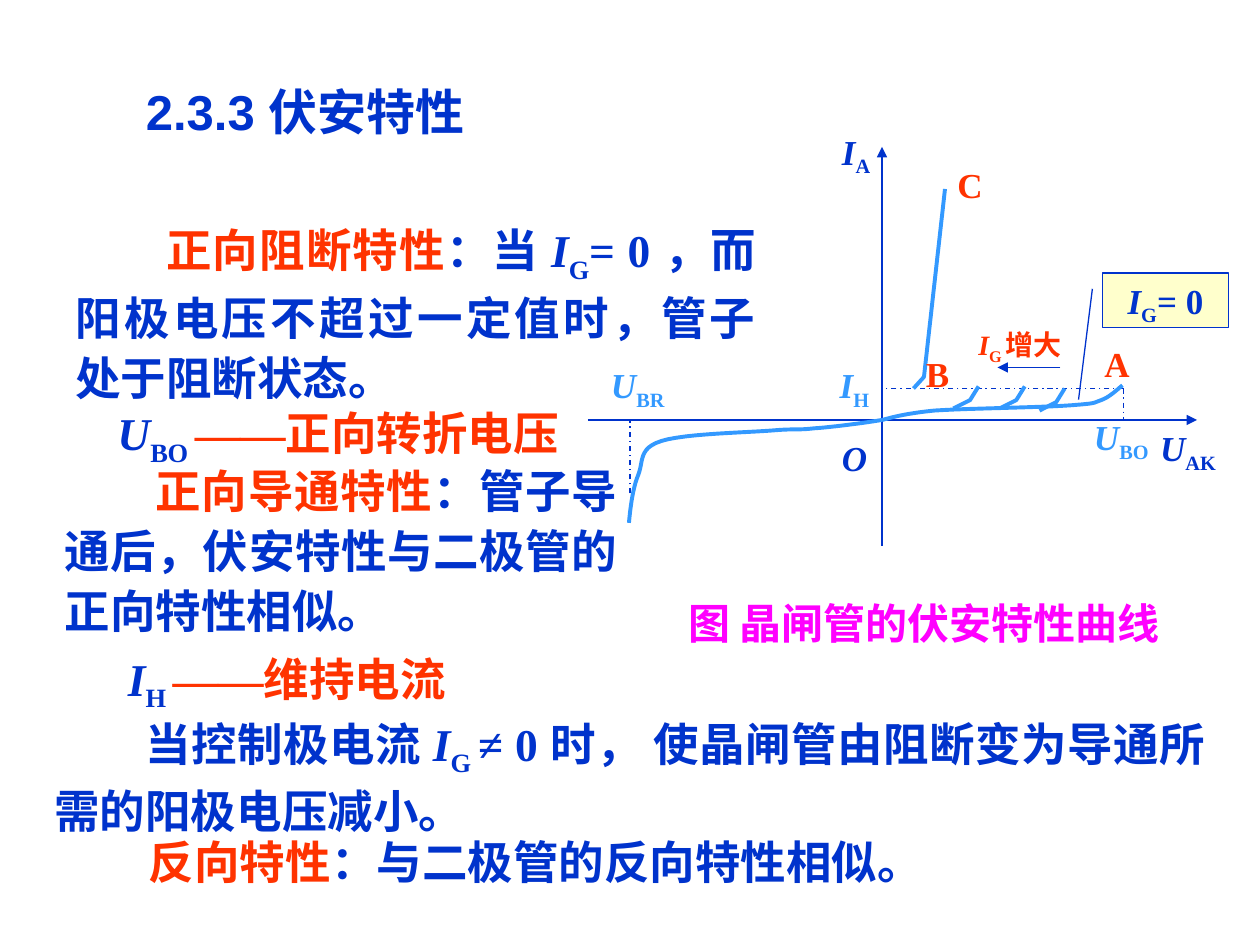
from dataclasses import dataclass
from typing import NamedTuple

from lxml import etree
from pptx import Presentation
from pptx.dml.color import RGBColor
from pptx.enum.dml import MSO_LINE
from pptx.enum.shapes import MSO_CONNECTOR, MSO_SHAPE
from pptx.enum.text import MSO_ANCHOR, PP_ALIGN
from pptx.oxml.ns import qn
from pptx.util import Inches, Pt

LEFT, MID, JUST = PP_ALIGN.LEFT, PP_ALIGN.CENTER, PP_ALIGN.JUSTIFY
TOP = MSO_ANCHOR.TOP
DASH = MSO_LINE.DASH_DOT
STRAIGHT = MSO_CONNECTOR.STRAIGHT
CALLOUT = MSO_SHAPE.LINE_CALLOUT_1
WIDE, HIGH = Inches(10), Inches(7.5)
COLS, ROWS = 120, 90
STEPS = 12


@dataclass(frozen=True)
class Theme:
    blue: str = "0033CC"
    sky: str = "3399FF"
    red: str = "FF3300"
    pink: str = "FF00FF"
    cream: str = "FFFFCC"
    serif: str = "Times New Roman"
    sans: str = "Arial"
    head: float = 28
    body: float = 26
    cap: float = 24
    label: float = 20
    note: float = 16
    thin: float = 0.75
    axis: float = 1.5
    curve: float = 2.25


T = Theme()


class Bit(NamedTuple):
    text: str
    color: str = T.blue
    slant: bool = False
    sub: bool = False


class Block(NamedTuple):
    area: tuple
    bits: list
    form: dict


class Line(NamedTuple):
    start: tuple
    end: tuple
    width: float = T.thin
    arrow: bool = False
    dash: bool = False


class Label(NamedTuple):
    col: float
    row: float
    wide: float
    bits: list


def sym(base: str, sub: str, color: str = T.blue) -> list:
    return [Bit(base, color, slant=True), Bit(sub, color, sub=True)]


def spot(col: float, row: float) -> tuple:
    return round(WIDE * col / COLS), round(HIGH * row / ROWS)


def rect(area: tuple) -> tuple:
    return spot(*area[:2]) + spot(*area[2:])


def write(frame, bits: list, *, size: float, font: str = T.serif,
          align=LEFT, space: float = 1, indent: float = 0) -> None:
    frame.word_wrap = True
    frame.vertical_anchor = TOP
    para = frame.paragraphs[0]
    para.alignment = align
    para.line_spacing = space
    if indent:
        para._p.get_or_add_pPr().set("indent", str(Pt(indent)))
    for bit in bits:
        run = para.add_run()
        run.text = bit.text
        run.font.name = font
        run.font.size = Pt(size)
        run.font.bold = True
        run.font.italic = bit.slant
        run.font.color.rgb = RGBColor.from_string(bit.color)
        if bit.sub:
            run._r.get_or_add_rPr().set("baseline", "-25000")


def put(slide, block: Block) -> None:
    box = slide.shapes.add_textbox(*rect(block.area))
    write(box.text_frame, block.bits, **block.form)


def rule(slide, item: Line) -> None:
    line = slide.shapes.add_connector(STRAIGHT, *spot(*item.start), *spot(*item.end))
    line.line.color.rgb = RGBColor.from_string(T.blue)
    line.line.width = Pt(item.width)
    if item.dash:
        line.line.dash_style = DASH
    if item.arrow:
        tail = etree.SubElement(line.line._get_or_add_ln(), qn("a:tailEnd"))
        tail.set("type", "triangle")
    etree.SubElement(line._element.spPr, qn("a:effectLst"))


def bend(start: tuple, parts: list) -> list:
    dots = [start]
    for one, two, end in parts:
        base = dots[-1]
        for step in range(1, STEPS + 1):
            t = step / STEPS
            u = 1 - t
            dots.append(tuple(
                u**3 * a + 3 * u * u * t * b + 3 * u * t * t * c + t**3 * d
                for a, b, c, d in zip(base, one, two, end)))
    return dots


def trace(slide, dots: list) -> None:
    pen = slide.shapes.build_freeform(*spot(*dots[0]))
    pen.add_line_segments([spot(*dot) for dot in dots[1:]], close=False)
    curve = pen.convert_to_shape()
    curve.shadow.inherit = False
    curve.fill.background()
    curve.line.color.rgb = RGBColor.from_string(T.sky)
    curve.line.width = Pt(T.curve)


def callout(slide) -> None:
    tag = slide.shapes.add_shape(CALLOUT, *rect((105, 26, 12, 5.2)))
    for slot, share in enumerate((0.29, -0.08, 2.32, -0.19)):
        tag.adjustments[slot] = share
    tag.shadow.inherit = False
    tag.fill.solid()
    tag.fill.fore_color.rgb = RGBColor.from_string(T.cream)
    tag.line.color.rgb = RGBColor.from_string(T.blue)
    tag.line.width = Pt(T.thin)
    write(tag.text_frame, sym("I", "G") + [Bit("= 0")], size=T.label, align=MID)


PROSE = dict(size=T.body, align=JUST, space=1.1, indent=2 * T.body)
TERM = dict(size=T.body)
BLOCKS = [
    Block((6, 20, 67.2, 18.4),
          [Bit("正向阻断特性", T.red), Bit("：当 "), *sym("I", "G"),
           Bit("= 0 ，而阳极电压不超过一定值时，管子处于阻断状态。")], PROSE),
    Block((10, 38, 49, 6.4),
          [*sym("U", "BO "), Bit("——正向转折电压", T.red)], TERM),
    Block((5, 43, 55, 18.4),
          [Bit("正向导通特性", T.red),
           Bit("：管子导通后，伏安特性与二极管的正向特性相似。")], PROSE),
    Block((11, 61.4, 42, 6.4),
          [*sym("I", "H "), Bit("——维持电流", T.red)], TERM),
    Block((4, 67, 112, 12.7),
          [Bit("当控制极电流 "), *sym("I", "G "),
           Bit("≠ 0 时， 使晶闸管由阻断变为导通所需的阳极电压减小。")], PROSE),
    Block((13, 78.8, 100, 6.4),
          [Bit("反向特性", T.red), Bit("：与二极管的反向特性相似。")], TERM),
    Block((60, 56.3, 56, 6), [Bit("图 晶闸管的伏安特性曲线", T.pink)],
          dict(size=T.cap, align=MID)),
    Block((92, 30.6, 10.9, 4.4),
          [*sym("I", "G ", T.red), Bit("增大", T.red)], dict(size=T.note)),
]
LABELS = [
    Label(79, 41, 5, [Bit("O", slant=True)]),
    Label(109.3, 40, 10.7, sym("U", "AK")),
    Label(79, 11.8, 7, sym("I", "A")),
    Label(103, 39, 10, sym("U", "BO", T.sky)),
    Label(104, 32, 8, [Bit("A", T.red)]),
    Label(87, 33, 8, [Bit("B", T.red)]),
    Label(90, 15, 8, [Bit("C", T.red)]),
    Label(78.8, 34, 7, sym("I", "H", T.sky)),
    Label(57, 34, 9, sym("U", "BR", T.sky)),
]
LINES = [
    Line((56, 40), (114, 40), T.axis, arrow=True),
    Line((84, 52), (84, 14), T.axis, arrow=True),
    Line((107, 37), (84, 37), dash=True),
    Line((107, 37), (107, 40), dash=True),
    Line((60, 47), (60, 40), dash=True),
    Line((101, 35), (95, 35), arrow=True),
]
AHEAD = bend((84, 40), [
    ((84.8, 39.8), (86, 39.4), (89, 39.1)),
    ((92, 38.9), (99.4, 38.8), (102, 38.6)),
    ((104.6, 38.4), (104, 38.4), (104.9, 38.1)),
    ((105.7, 37.8), (106.4, 37.1), (106.9, 36.7))])
BACK = bend((84, 40), [
    ((82.9, 40.2), (79.2, 40.7), (77.5, 40.8)),
    ((75.7, 41), (76, 40.8), (73.6, 41)),
    ((71.2, 41.2), (65.2, 41.3), (63, 42)),
    ((60.8, 42.7), (61.3, 43.9), (60.8, 45.2)),
    ((60.2, 46.6), (60, 48.8), (59.9, 49.8))])
RISE = [(87, 37), (88, 35.9), (90, 18)]
SPURS = [[(col, row), (col + 1.6, row - 0.8), (col + 2.4, row - 2.1)]
         for col, row in ((99, 39.1), (95.2, 38.9), (90.8, 38.9))]


def main() -> None:
    deck = Presentation()
    deck.slide_width, deck.slide_height = WIDE, HIGH
    slide = deck.slides.add_slide(deck.slide_layouts[5])
    title = slide.shapes.title
    title.left, title.top, title.width, title.height = rect((12.7, 7.2, 39.7, 6.8))
    write(title.text_frame, [Bit("2.3.3 伏安特性")], size=T.head, font=T.sans)
    for line in LINES:
        rule(slide, line)
    for dots in (AHEAD, BACK, RISE, *SPURS):
        trace(slide, dots)
    callout(slide)
    for tag in LABELS:
        put(slide, Block((tag.col, tag.row, tag.wide, 5.2), tag.bits, dict(size=T.label)))
    for block in BLOCKS:
        put(slide, block)
    deck.save("out.pptx")


if __name__ == "__main__":
    main()
